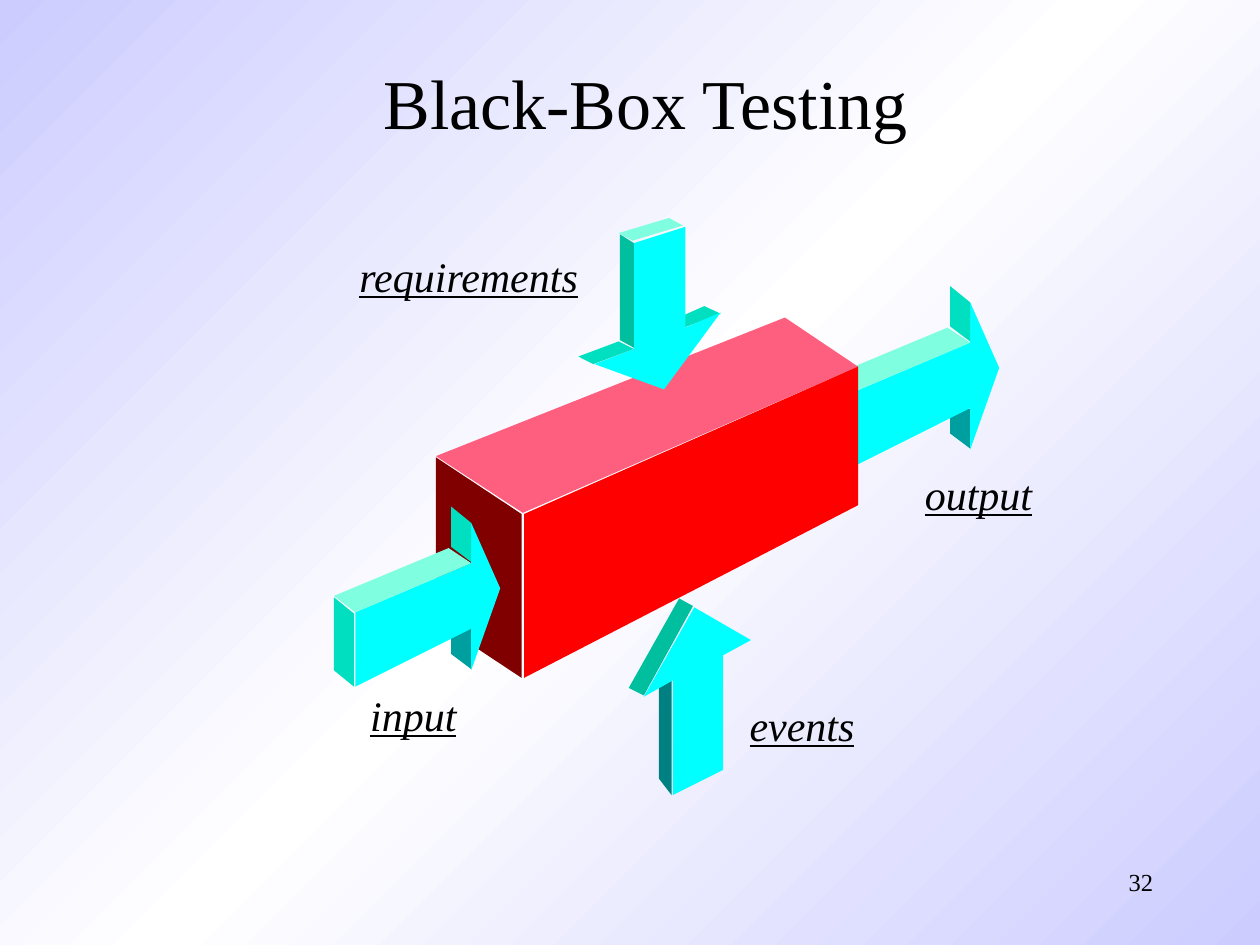
from copy import deepcopy

from pptx import Presentation, util as u
from pptx.dml.color import RGBColor
from pptx.enum import text
from pptx.oxml.ns import qn

FONT = "Times New Roman"
CYAN, MINT, TEAL, SEA = "00FFFF", "7FFFDF", "00DFBF", "00BF9F"

# Each solid is a list of faces, back to front: (colour, corners in inches).
FLOW_ARROW = [
    ("009F9F", [(3.74, 5.31), (3.74, 5), (3.58, 4.87), (3.58, 5.19)]),
    (CYAN, [(3.74, 4.47), (2.82, 4.86), (2.82, 5.45), (3.74, 4.99),
            (3.74, 5.32), (3.97, 4.67), (3.74, 4.15)]),
    (TEAL, [(2.81, 4.87), (2.81, 5.45), (2.65, 5.32), (2.65, 4.74)]),
    (MINT, [(2.65, 4.73), (2.82, 4.86), (3.74, 4.47), (3.56, 4.35)]),
    (TEAL, [(3.74, 4.15), (3.58, 4.02), (3.58, 4.34), (3.74, 4.46)]),
]
EVENTS_ARROW = [
    ("008080", [(5.33, 6.31), (5.33, 5.4), (5.23, 5.34), (5.23, 6.18)]),
    (CYAN, [(5.51, 4.82), (5.96, 5.08), (5.74, 5.2), (5.74, 6.11),
            (5.34, 6.31), (5.34, 5.4), (5.11, 5.53)]),
    (SEA, [(5.11, 5.52), (4.99, 5.46), (5.39, 4.75), (5.5, 4.81)]),
]
BOX = [
    ("800000", [(3.46, 3.63), (4.14, 4.08), (4.14, 5.38), (3.46, 4.93)]),
    ("FF5F7F", [(3.46, 3.62), (4.15, 4.07), (6.81, 2.91), (6.23, 2.52)]),
    ("FF0000", [(4.16, 4.08), (4.16, 5.38), (6.81, 4.01), (6.81, 2.91)]),
]
REQUIREMENTS_TOP = (MINT, [(4.91, 1.85), (5.02, 1.91), (5.42, 1.79), (5.31, 1.73)])
REQUIREMENTS_ARROW = [
    (TEAL, [(5.43, 2.6), (5.72, 2.49), (5.59, 2.43), (5.32, 2.55)]),
    (CYAN, [(5.03, 1.93), (5.44, 1.8), (5.44, 2.6), (5.72, 2.48),
            (5.27, 3.09), (4.72, 2.89), (5.03, 2.77)]),
    (TEAL, [(4.71, 2.89), (4.59, 2.83), (4.91, 2.71), (5.03, 2.77)]),
    (SEA, [(4.92, 2.7), (5.03, 2.76), (5.03, 1.93), (4.92, 1.86)]),
]
LABELS = [
    ("requirements", 2.74, 1.94, 1.96),
    ("events", 5.84, 5.5, 1.05),
    ("input", 2.82, 5.42, 0.92),
    ("output", 7.24, 3.67, 1.05),
]


def rgb(value):
    return RGBColor.from_string(value)


def set_background(s):
    """Diagonal lavender-white-lavender gradient."""
    fill = s.background.fill
    fill.gradient()
    fill.gradient_angle = 315
    stops = s.element.find(".//" + qn("a:gsLst"))
    stops.append(deepcopy(stops[-1]))
    for stop, (position, color) in zip(
            fill.gradient_stops, [(0, "CCCCFF"), (0.5, "FFFFFF"), (1, "CCCCFF")]):
        stop.position = position
        stop.color.rgb = rgb(color)


def write(sp, content, size, align, styled=False):
    p = sp.text_frame.paragraphs[0]
    p.alignment = align
    r = p.add_run()
    r.text = content
    r.font.name = FONT
    r.font.size = u.Pt(size)
    r.font.color.rgb = rgb("000000")
    if styled:
        r.font.italic = r.font.underline = True


def add_title(s, content):
    sp = s.shapes.title
    sp.left, sp.top = u.Inches(1.61), u.Inches(0.64)
    sp.width, sp.height = u.Inches(7.03), u.Inches(0.33)
    tf = sp.text_frame
    tf.auto_size = text.MSO_AUTO_SIZE.NONE
    tf.vertical_anchor = text.MSO_ANCHOR.MIDDLE
    write(sp, content, 40, text.PP_ALIGN.CENTER)


def add_textbox(s, x, y, w, wrap):
    sp = s.shapes.add_textbox(u.Inches(x), u.Inches(y), u.Inches(w), u.Inches(0.5))
    sp.text_frame.word_wrap = wrap
    return sp


def add_face(parent, color, corners, dx=0, dy=0):
    points = [(u.Inches(x + dx), u.Inches(y + dy)) for x, y in corners]
    builder = parent.shapes.build_freeform(*points[0])
    builder.add_line_segments(points[1:], close=True)
    sp = builder.convert_to_shape()
    sp.shadow.inherit = False
    sp.fill.solid()
    sp.fill.fore_color.rgb = rgb(color)
    sp.line.fill.background()


def add_solid(s, faces, dx=0, dy=0):
    """Group of filled faces, shifted by dx and dy inches."""
    group = s.shapes.add_group_shape()
    for color, corners in faces:
        add_face(group, color, corners, dx, dy)


def main():
    prs = Presentation()
    prs.slide_width, prs.slide_height = u.Inches(10), u.Inches(7.5)
    s = prs.slides.add_slide(prs.slide_layouts[5])
    set_background(s)
    number = add_textbox(s, 7.17, 6.83, 2.08, True)
    write(number, "32", 14, text.PP_ALIGN.RIGHT)
    add_title(s, "Black-Box Testing")

    add_solid(s, FLOW_ARROW, 3.96, -1.75)
    add_solid(s, EVENTS_ARROW)
    add_solid(s, BOX)
    add_face(s, *REQUIREMENTS_TOP)
    add_solid(s, REQUIREMENTS_ARROW)
    add_solid(s, FLOW_ARROW)

    for content, x, y, w in LABELS:
        label = add_textbox(s, x, y, w, False)
        label.text_frame.auto_size = text.MSO_AUTO_SIZE.SHAPE_TO_FIT_TEXT
        write(label, content, 24, text.PP_ALIGN.CENTER, styled=True)
    prs.save("out.pptx")


if __name__ == "__main__":
    main()
